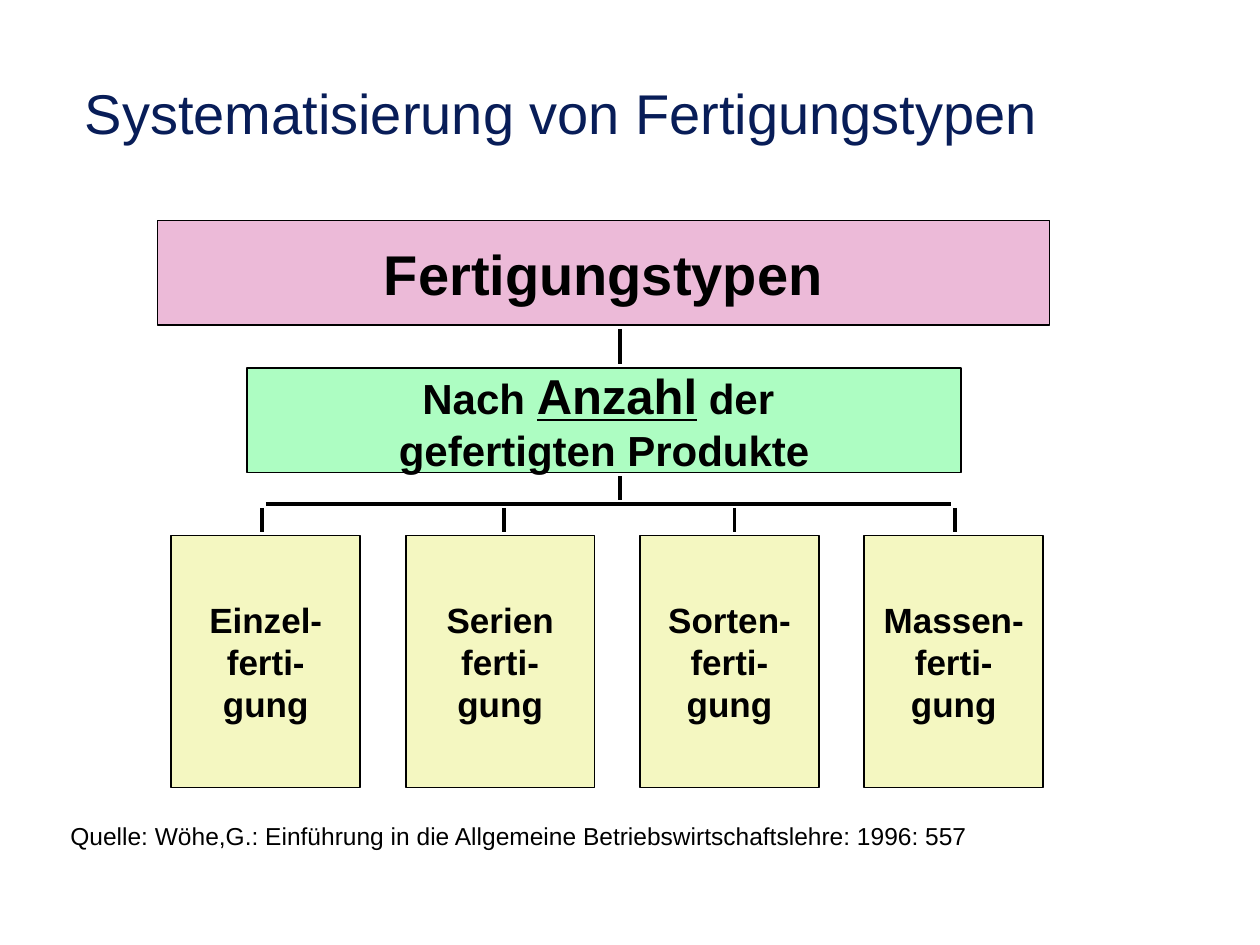
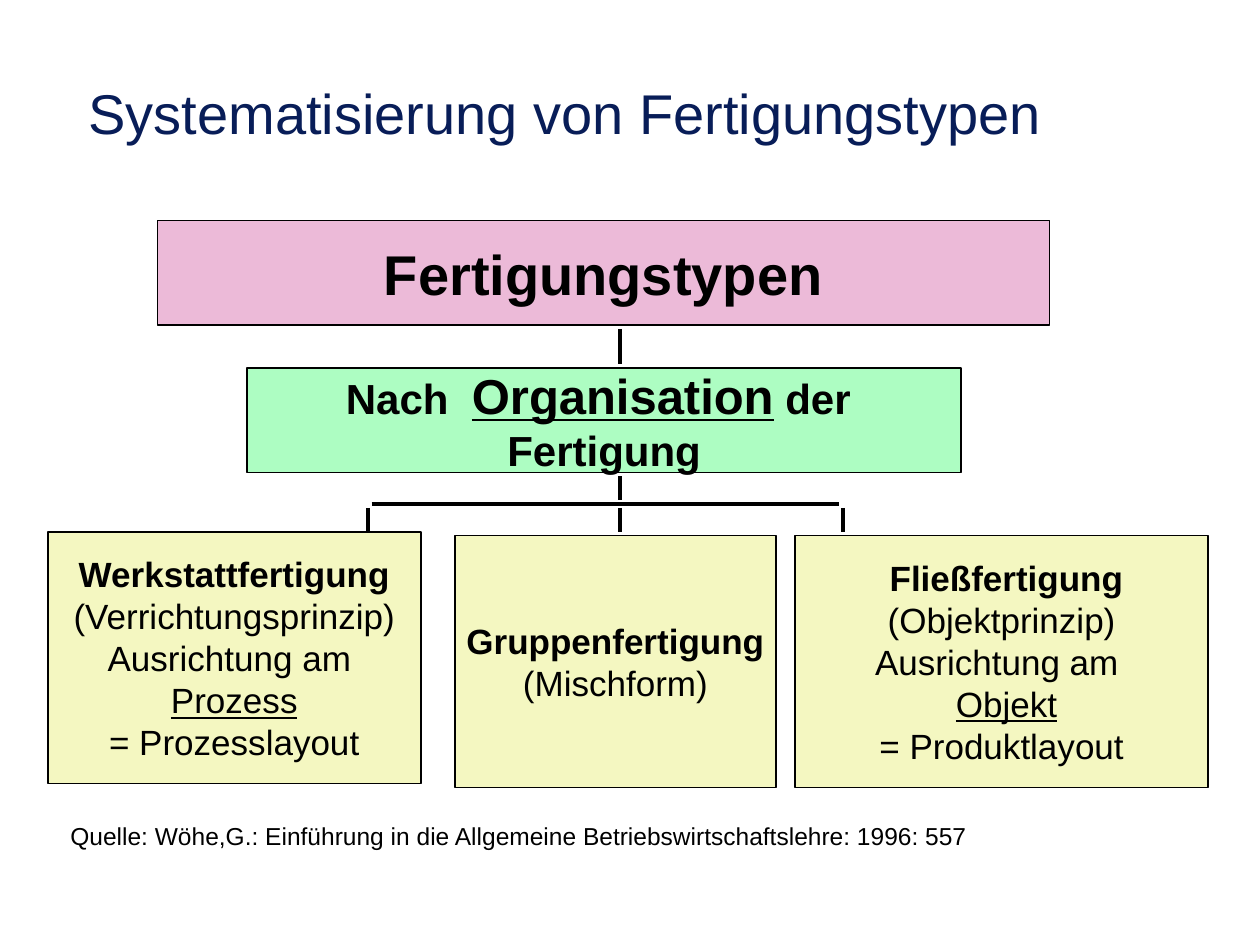
from pptx import Presentation
from pptx.dml.color import RGBColor
from pptx.enum import shapes, text
from pptx.oxml.ns import qn
from pptx.util import Inches, Pt
from lxml import etree

NAVY = RGBColor(0x08, 0x1D, 0x58)
BLACK = RGBColor(0, 0, 0)
PINK = RGBColor(0xEC, 0xBA, 0xD8)
GREEN = RGBColor(0xAD, 0xFD, 0xC2)
CREAM = RGBColor(0xF4, 0xF7, 0xC1)
FONT = "Arial"

TITLE = " Systematisierung von Fertigungstypen"
SOURCE = ("Quelle: Wöhe,G.: Einführung in die Allgemeine "
          "Betriebswirtschaftslehre: 1996: 557")

ROOT_BOX = (1.25, 1.75, 7.08, 0.83)
CRITERION_BOX = (1.96, 2.92, 5.67, 0.83)
TRUNK_X = 4.92
BUS_Y = 4
GAP = 0.03  # between line ends and neighbouring parts
TYPE_TOP, TYPE_HEIGHT = 4.25, 2


def set_font(font, size, color=BLACK, bold=False):
    font.name, font.size, font.bold = FONT, Pt(size), bold
    font.color.rgb = color


def add_title(s, left):
    sp = s.shapes.title
    sp.left, sp.top, sp.width, sp.height = map(Inches, (left, 0.42, 9.75, 0.79))
    tf = sp.text_frame
    tf.text = TITLE
    tf.word_wrap = True
    tf.auto_size = text.MSO_AUTO_SIZE.NONE
    tf.vertical_anchor = text.MSO_ANCHOR.BOTTOM
    p = tf.paragraphs[0]
    p.alignment = text.PP_ALIGN.LEFT
    set_font(p.font, 32, NAVY)


def add_source(s):
    tf = s.shapes.add_textbox(*map(Inches, (0.46, 6.47, 7.33, 0.33))).text_frame
    tf.word_wrap = False
    tf.text = SOURCE
    set_font(tf.paragraphs[0].font, 14)


def add_box(s, box, fill, lines, size, bold_lines):
    """Add a box; each line is a list of runs, a (text, size) pair being underlined."""
    sp = s.shapes.add_shape(shapes.MSO_SHAPE.RECTANGLE, *map(Inches, box))
    sp.shadow.inherit = False
    sp.fill.solid()
    sp.fill.fore_color.rgb = fill
    sp.line.color.rgb = BLACK
    sp.line.width = Pt(1)
    tf = sp.text_frame
    tf.word_wrap = False
    tf.vertical_anchor = text.MSO_ANCHOR.MIDDLE
    for i, runs in enumerate(lines):
        p = tf.add_paragraph() if i else tf.paragraphs[0]
        p.alignment = text.PP_ALIGN.CENTER
        set_font(p.font, size, bold=i < bold_lines)
        for run in runs:
            r = p.add_run()
            if isinstance(run, tuple):
                r.text, run_size = run
                r.font.size, r.font.underline = Pt(run_size), True
            else:
                r.text = run


def add_line(s, x1, y1, x2, y2):
    c = s.shapes.add_connector(shapes.MSO_CONNECTOR.STRAIGHT,
                               *map(Inches, (x1, y1, x2, y2)))
    c.line.color.rgb = BLACK
    c.line.width = Pt(2)
    etree.SubElement(c._element.spPr, qn("a:effectLst"))


def add_tree_lines(s, drops):
    """Link the levels: trunk, horizontal bus and one drop per type."""
    for upper, lower in ((ROOT_BOX[1] + ROOT_BOX[3], CRITERION_BOX[1]),
                         (CRITERION_BOX[1] + CRITERION_BOX[3], BUS_Y)):
        add_line(s, TRUNK_X, upper + GAP, TRUNK_X, lower - GAP)
    add_line(s, drops[0] + GAP, BUS_Y, drops[-1] - GAP, BUS_Y)
    for x in drops:
        add_line(s, x, BUS_Y + GAP, x, TYPE_TOP - GAP)


def add_tree_slide(prs, title_left, criterion, types, drops, bold_lines):
    """Add a slide; types are (left, top, width, lines)."""
    s = prs.slides.add_slide(prs.slide_layouts[5])
    add_title(s, title_left)
    add_source(s)
    add_box(s, ROOT_BOX, PINK, [["Fertigungstypen"]], 32, 1)
    add_box(s, CRITERION_BOX, GREEN, criterion, 24, 2)
    for left, top, width, lines in types:
        add_box(s, (left, top, width, TYPE_HEIGHT), CREAM, lines, 20, bold_lines)
    add_tree_lines(s, drops)


def main():
    prs = Presentation()
    prs.slide_width, prs.slide_height = Inches(10), Inches(7.5)

    quantity_types = [
        (left, TYPE_TOP, width, [[name], ["ferti-"], ["gung"]])
        for left, width, name in ((1.36, 1.5, "Einzel-"), (3.22, 1.5, "Serien"),
                                  (5.08, 1.42, "Sorten-"), (6.86, 1.42, "Massen-"))]
    add_tree_slide(prs, 0.45,
                   [["Nach ", ("Anzahl", 28), " der "], ["gefertigten Produkte"]],
                   quantity_types, (2.08, 4, 5.83, 7.58), bold_lines=3)

    organisation_types = [
        (0.38, TYPE_TOP - GAP, 2.96,
         [["Werkstattfertigung"], ["(Verrichtungsprinzip)"], ["Ausrichtung am "],
          [("Prozess", 20)], ["= Prozesslayout"]]),
        (3.61, TYPE_TOP, 2.55, [["Gruppenfertigung"], ["(Mischform)"]]),
        (6.31, TYPE_TOP, 3.28,
         [[" Fließfertigung"], ["(Objektprinzip)"], ["Ausrichtung am "],
          [" ", ("Objekt", 20)], ["= Produktlayout"]])]
    add_tree_slide(prs, 0.48,
                   [["Nach  ", ("Organisation", 28), " der "], ["Fertigung"]],
                   organisation_types, (2.92, TRUNK_X, 6.69), bold_lines=1)

    prs.save("out.pptx")


if __name__ == "__main__":
    main()
